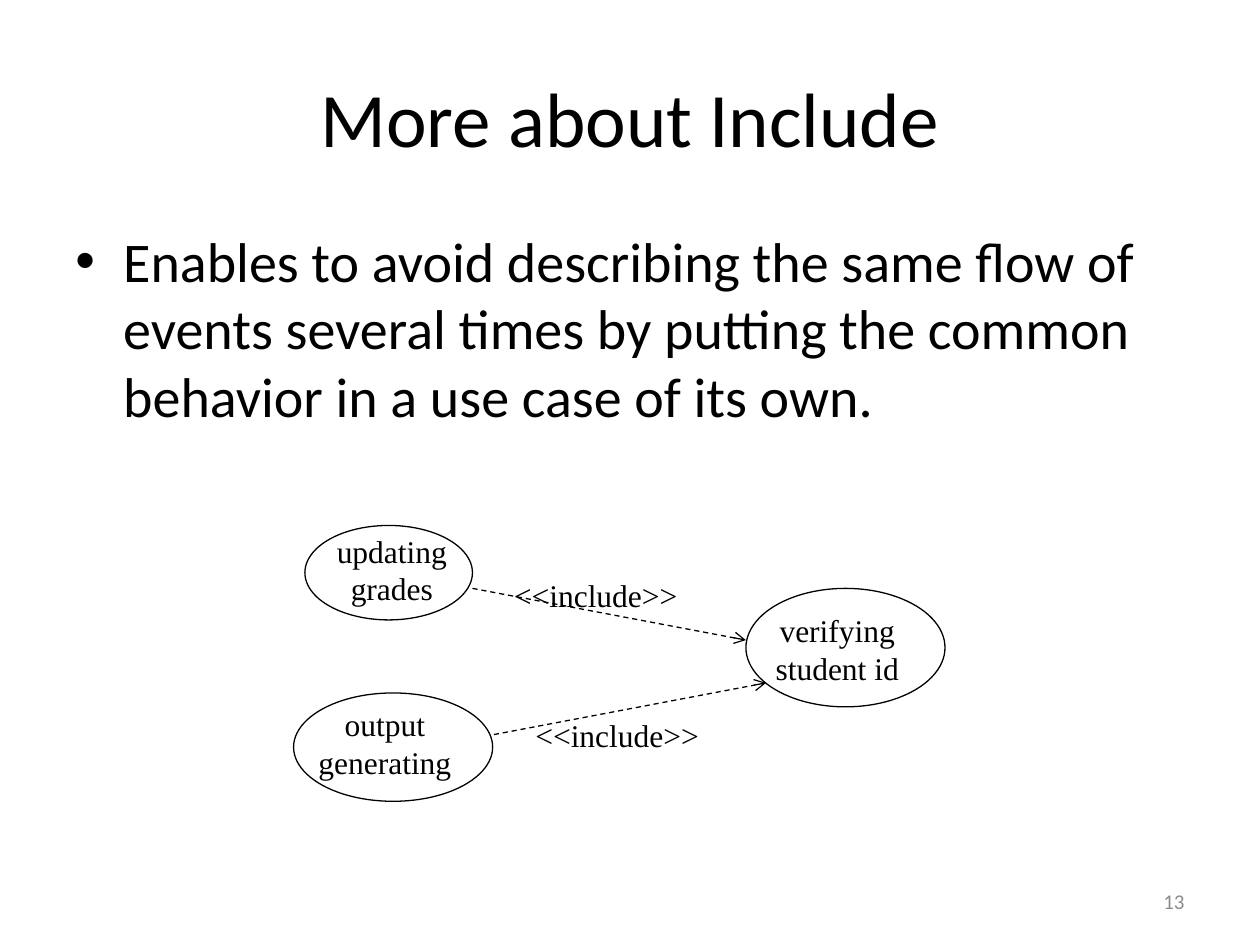
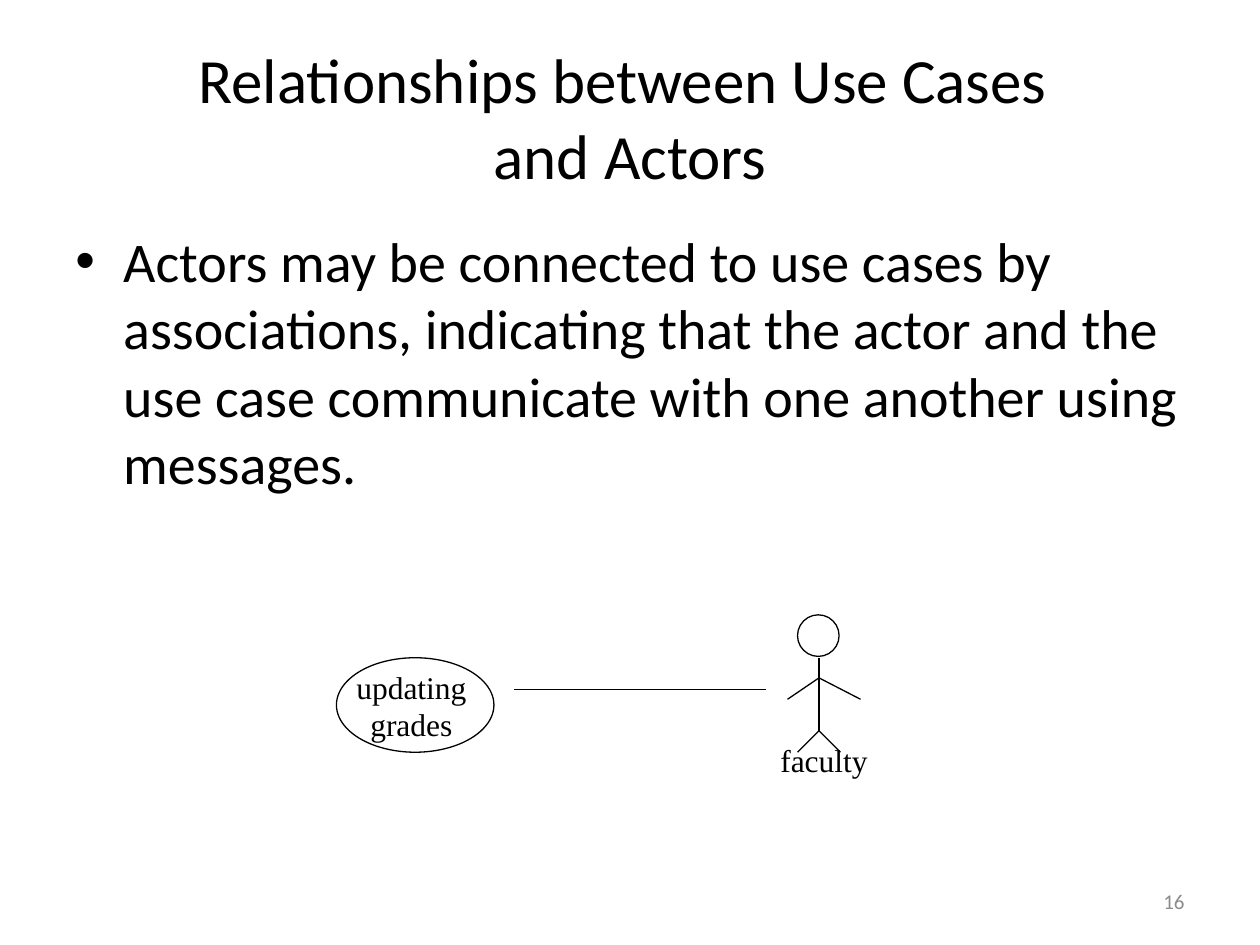
from typing import NamedTuple

from lxml import etree
from pptx import Presentation
from pptx.dml.color import RGBColor
from pptx.enum.dml import MSO_LINE
from pptx.enum.shapes import MSO_CONNECTOR, MSO_SHAPE
from pptx.enum.text import MSO_ANCHOR, PP_ALIGN
from pptx.oxml.ns import qn
from pptx.util import Inches, Pt

OVAL = MSO_SHAPE.OVAL
STRAIGHT = MSO_CONNECTOR.STRAIGHT
DASH = MSO_LINE.DASH
TOP, MIDDLE = MSO_ANCHOR.TOP, MSO_ANCHOR.MIDDLE
LEFT, CENTER, RIGHT = PP_ALIGN.LEFT, PP_ALIGN.CENTER, PP_ALIGN.RIGHT

BLACK = "000000"
GRAY = "8C8C8C"
SANS = "Calibri"
SERIF = "Times New Roman"
STROKE = Pt(0.75)


class Box(NamedTuple):
    x: float
    y: float
    w: float
    h: float


class Style(NamedTuple):
    size: int
    font: str = SANS
    color: str = BLACK
    align: PP_ALIGN = LEFT
    anchor: MSO_ANCHOR = TOP
    wrap: bool = True


class Case(NamedTuple):
    oval: Box
    label: Box
    lines: list[str]


class Link(NamedTuple):
    x1: float
    y1: float
    x2: float
    y2: float
    arrow: bool = False


TITLE_BOX = Box(0.5, 0.3, 9, 1.25)
BODY_BOX = Box(0.5, 1.75, 9, 4.95)
PAGE_BOX = Box(7.17, 6.95, 2.33, 0.4)

BODY = Style(32)
PAGE = Style(12, color=GRAY, align=RIGHT, anchor=MIDDLE)
NAME = Style(18, SERIF, align=CENTER)
TAG = Style(18, SERIF, wrap=False)

SHARED_CASES = [
    Case(Box(2.42, 4.17, 1.33, 0.75), Box(2.5, 4.17, 1.22, 0.7), ["updating", "grades"]),
    Case(Box(2.33, 5.5, 1.58, 0.86), Box(2.33, 5.55, 1.45, 0.7), ["output", "generating"]),
    Case(Box(5.92, 4.67, 1.58, 0.94), Box(5.92, 4.8, 1.45, 0.7), ["verifying", "student id"]),
]
SHARED_LINKS = [Link(3.75, 4.67, 5.92, 5.08, True), Link(3.92, 5.83, 6.08, 5.42, True)]
TAG_SPOTS = [Box(3.98, 4.52, 1.61, 0.4), Box(4.15, 5.63, 1.61, 0.4)]

GRADE_CASE = Case(Box(2.67, 5.22, 1.25, 0.75), Box(2.69, 5.25, 1.15, 0.7), ["updating", "grades"])
HEAD = Box(6.33, 4.88, 0.33, 0.33)
NECK, HIP, FOOT = 5.22, 5.8, 5.97
CHEST, HAND, SPINE = 5.38, 5.55, 6.5
LIMBS = [
    Link(SPINE, NECK, SPINE, HIP),
    Link(SPINE, CHEST, 6.83, HAND),
    Link(SPINE, CHEST, 6.25, HAND),
    Link(SPINE, HIP, 6.67, FOOT),
    Link(SPINE, HIP, 6.33, FOOT),
]


def paint(code: str) -> RGBColor:
    return RGBColor.from_string(code)


def place(box: Box) -> list[int]:
    return [Inches(side) for side in box]


def add_run(para, text: str, style: Style) -> None:
    run = para.add_run()
    run.text = text
    run.font.size = Pt(style.size)
    run.font.name = style.font
    run.font.color.rgb = paint(style.color)


def add_text(slide, box: Box, lines: list[str], style: Style):
    frame = slide.shapes.add_textbox(*place(box)).text_frame
    frame.word_wrap = style.wrap
    frame.vertical_anchor = style.anchor
    for index, line in enumerate(lines):
        para = frame.add_paragraph() if index else frame.paragraphs[0]
        para.alignment = style.align
        add_run(para, line, style)
    return frame


def add_title(slide, lines: list[str], size: int) -> None:
    style = Style(size, align=CENTER, anchor=MIDDLE)
    para = add_text(slide, TITLE_BOX, lines[:1], style).paragraphs[0]
    for line in lines[1:]:
        para.add_line_break()
        add_run(para, line, style)


def add_body(slide, text: str) -> None:
    para = add_text(slide, BODY_BOX, [text], BODY).paragraphs[0]
    props = para._p.get_or_add_pPr()
    props.set("marL", str(Inches(0.38)))
    props.set("indent", str(Inches(-0.38)))
    etree.SubElement(props, qn("a:buFont")).set("typeface", "Arial")
    etree.SubElement(props, qn("a:buChar")).set("char", "•")


def add_oval(slide, box: Box) -> None:
    oval = slide.shapes.add_shape(OVAL, *place(box))
    oval.shadow.inherit = False
    oval.fill.background()
    oval.line.color.rgb = paint(BLACK)
    oval.line.width = STROKE


def add_case(slide, case: Case) -> None:
    add_oval(slide, case.oval)
    add_text(slide, case.label, case.lines, NAME)


def add_link(slide, link: Link) -> None:
    ends = [Inches(point) for point in link[:4]]
    wire = slide.shapes.add_connector(STRAIGHT, *ends)
    wire.line.color.rgb = paint(BLACK)
    wire.line.width = STROKE
    if link.arrow:
        wire.line.dash_style = DASH
        etree.SubElement(wire.line._get_or_add_ln(), qn("a:tailEnd")).set("type", "arrow")
    etree.SubElement(wire._element.spPr, qn("a:effectLst"))


def add_slide(deck, page: str, title: list[str], size: int, body: str):
    slide = deck.slides.add_slide(deck.slide_layouts[6])
    add_text(slide, PAGE_BOX, [page], PAGE)
    add_title(slide, title, size)
    add_body(slide, body)
    return slide


def draw_include(deck) -> None:
    slide = add_slide(
        deck, "13", ["More about Include"], 44,
        "Enables to avoid describing the same flow of events several times "
        "by putting the common behavior in a use case of its own.",
    )
    for case in SHARED_CASES:
        add_case(slide, case)
    for link in SHARED_LINKS:
        add_link(slide, link)
    for spot in TAG_SPOTS:
        add_text(slide, spot, ["<<include>>"], TAG)


def draw_actor(deck) -> None:
    slide = add_slide(
        deck, "16", ["Relationships between Use Cases ", "and Actors"], 36,
        "Actors may be connected to use cases by associations, indicating that "
        "the actor and the use case communicate with one another using messages.",
    )
    add_case(slide, GRADE_CASE)
    add_oval(slide, HEAD)
    for limb in LIMBS:
        add_link(slide, limb)
    add_text(slide, Box(6.08, 5.83, 0.92, 0.4), ["faculty"], NAME)
    add_link(slide, Link(6.08, 5.47, 4.08, 5.47))


def main() -> None:
    deck = Presentation()
    deck.slide_width = Inches(10)
    deck.slide_height = Inches(7.5)
    draw_include(deck)
    draw_actor(deck)
    deck.save("out.pptx")


if __name__ == "__main__":
    main()
